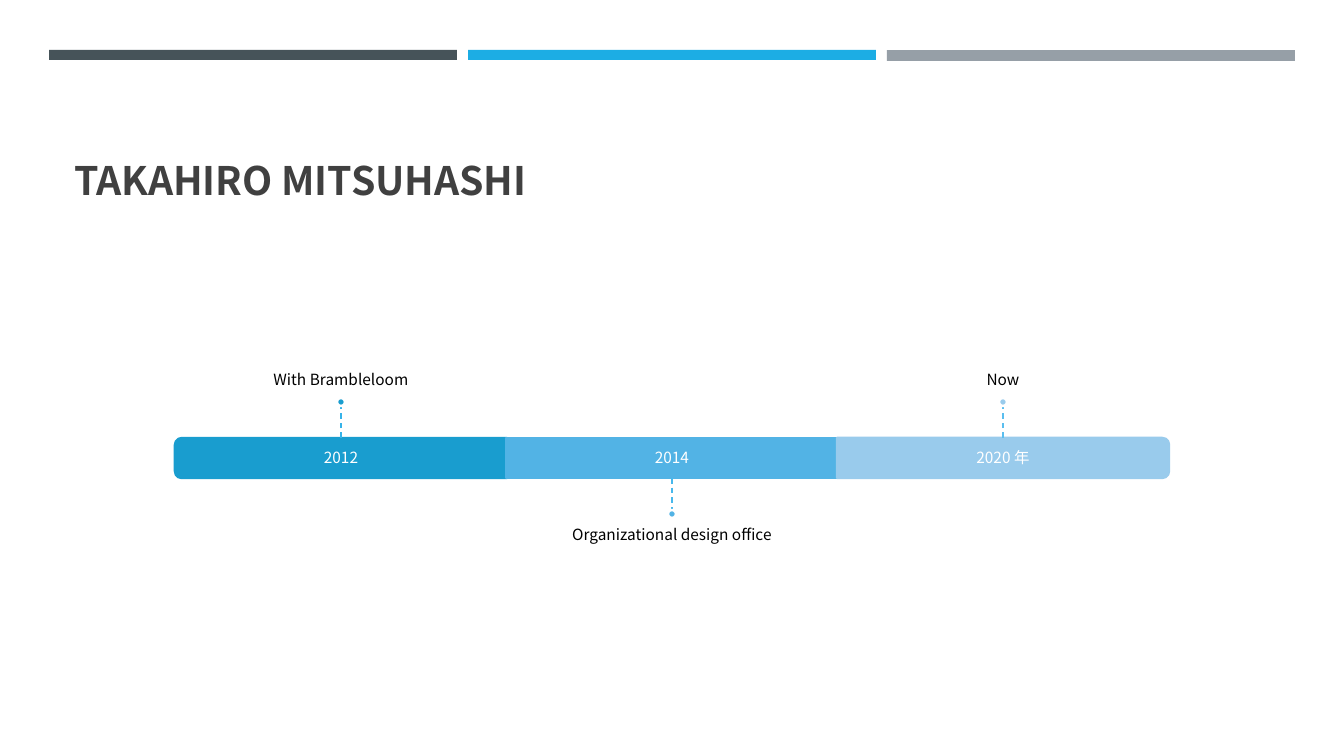
"""Build a career timeline slide with three dated segments."""
import lxml.etree
import pptx
import pptx.dml.color
import pptx.enum.dml
import pptx.enum.shapes
import pptx.enum.text
import pptx.oxml.ns
import pptx.util

TITLE = "TAKAHIRO MITSUHASHI"
MILESTONES = [
    {"date": "2012", "label": "With Brambleloom", "fill": "blue", "stem": "blue_stem",
     "rotation": 270, "above": True},
    {"date": "2014", "label": "Organizational design office", "fill": "sky", "stem": "sky_stem",
     "rotation": 0, "above": False},
    {"date": "2020 年", "label": "Now", "fill": "pale", "stem": "pale_stem",
     "rotation": 90, "above": True},
]
COLORS = {
    "slate": "465359", "accent": "1CADE4", "gray": "969FA7", "title": "404040",
    "blue": "199DCF", "sky": "52B3E5", "pale": "99CBEC",
    "blue_stem": "36B3E9", "sky_stem": "48B8EC", "pale_stem": "5ABEEF",
    "white": "FFFFFF", "black": "000000",
}
HEADER_BARS = [("slate", 10), ("accent", 10), ("gray", 11)]
FONT = "Noto Sans CJK JP"

EMU_PER_PX = 914400 / 100.8
SLIDE_WIDTH, SLIDE_HEIGHT = 1344, 756
HEADER_LEFT, HEADER_TOP, HEADER_WIDTH, HEADER_PITCH = 49, 50, 408, 419
FIRST_CENTER, PITCH, AXIS = 341, 331, 458
SEGMENT_WIDTH, SEGMENT_HEIGHT = 332, 40
STEM, DOT = 32, 8
LABEL_WIDTH, LABEL_HEIGHT = 552, 140
INSET = 9

SHAPE = pptx.enum.shapes.MSO_SHAPE
ANCHOR = pptx.enum.text.MSO_ANCHOR
ALIGN = pptx.enum.text.PP_ALIGN


def px(value):
    return pptx.util.Emu(round(value * EMU_PER_PX))


def rgb(name):
    return pptx.dml.color.RGBColor.from_string(COLORS[name])


def add_box(slide, kind, left, top, width, height, fill, line=None):
    shape = slide.shapes.add_shape(kind, px(left), px(top), px(width), px(height))
    shape.shadow.inherit = False
    shape.fill.solid()
    shape.fill.fore_color.rgb = rgb(fill)
    if line:
        shape.line.color.rgb = rgb(line)
        shape.line.width = pptx.util.Pt(1.75)
    else:
        shape.line.fill.background()
    return shape


def add_text(slide, text, left, top, width, height, size, color, anchor,
             align=ALIGN.CENTER, insets=(INSET,) * 4, bold=False, spacing=0.9):
    box = slide.shapes.add_textbox(px(left), px(top), px(width), px(height))
    frame = box.text_frame
    frame.word_wrap = True
    frame.vertical_anchor = anchor
    frame.margin_left, frame.margin_top, frame.margin_right, frame.margin_bottom = map(px, insets)
    paragraph = frame.paragraphs[0]
    paragraph.text = text
    paragraph.alignment = align
    paragraph.line_spacing = spacing
    font = paragraph.font
    font.name, font.size, font.bold = FONT, pptx.util.Pt(size), bold
    font.color.rgb = rgb(color)
    defaults = paragraph._p.pPr.find(pptx.oxml.ns.qn("a:defRPr"))
    lxml.etree.SubElement(defaults, pptx.oxml.ns.qn("a:ea"), typeface=FONT)


def add_segment(slide, center, fill, rotation):
    width, height = SEGMENT_WIDTH, SEGMENT_HEIGHT
    kind = SHAPE.RECTANGLE
    if rotation:
        width, height = height, width
        kind = SHAPE.ROUND_2_SAME_RECTANGLE
    segment = add_box(slide, kind, center - width / 2, AXIS - height / 2,
                      width, height, fill, fill)
    segment.rotation = rotation
    return segment


def add_stem(slide, center, start, end, color):
    stem = slide.shapes.add_connector(pptx.enum.shapes.MSO_CONNECTOR.STRAIGHT,
                                      px(center), px(start), px(center), px(end))
    stem.line.color.rgb = rgb(color)
    stem.line.width = pptx.util.Pt(1)
    stem.line.dash_style = pptx.enum.dml.MSO_LINE.DASH
    lxml.etree.SubElement(stem._element.spPr, pptx.oxml.ns.qn("a:effectLst"))
    return stem


def add_milestone(slide, index, milestone):
    center = FIRST_CENTER + index * PITCH
    side = -1 if milestone["above"] else 1
    edge = AXIS + side * SEGMENT_HEIGHT / 2
    stem_end = edge + side * STEM
    label_edge = stem_end + side * DOT

    segment = add_segment(slide, center, milestone["fill"], milestone["rotation"])
    add_text(slide, milestone["date"], center - SEGMENT_WIDTH / 2, AXIS - SEGMENT_HEIGHT / 2,
             SEGMENT_WIDTH, SEGMENT_HEIGHT, 11, "white", ANCHOR.MIDDLE)
    if milestone["above"]:
        label_top, anchor, insets = label_edge - LABEL_HEIGHT, ANCHOR.BOTTOM, (0, 0, 0, INSET)
    else:
        label_top, anchor, insets = label_edge, ANCHOR.TOP, (0, INSET, 0, 0)
    add_text(slide, milestone["label"], center - LABEL_WIDTH / 2, label_top,
             LABEL_WIDTH, LABEL_HEIGHT, 11, "black", anchor, insets=insets)
    stem = add_stem(slide, center, edge, stem_end, milestone["stem"])
    if not milestone["rotation"]:
        stem.begin_connect(segment, 0 if milestone["above"] else 2)
    add_box(slide, SHAPE.OVAL, center - DOT / 2, min(stem_end, label_edge),
            DOT, DOT, milestone["fill"], "white")


def main():
    presentation = pptx.Presentation()
    presentation.slide_width, presentation.slide_height = px(SLIDE_WIDTH), px(SLIDE_HEIGHT)
    slide = presentation.slides.add_slide(presentation.slide_layouts[6])
    for index, (color, height) in enumerate(HEADER_BARS):
        add_box(slide, SHAPE.RECTANGLE, HEADER_LEFT + index * HEADER_PITCH, HEADER_TOP,
                HEADER_WIDTH, height, color)
    add_text(slide, TITLE, 64, 78, 1216, 131, 28, "title", ANCHOR.BOTTOM,
             align=ALIGN.LEFT, insets=(10, 5, 10, 5), bold=True)
    for index, milestone in enumerate(MILESTONES):
        add_milestone(slide, index, milestone)
    presentation.save("out.pptx")


if __name__ == "__main__":
    main()
